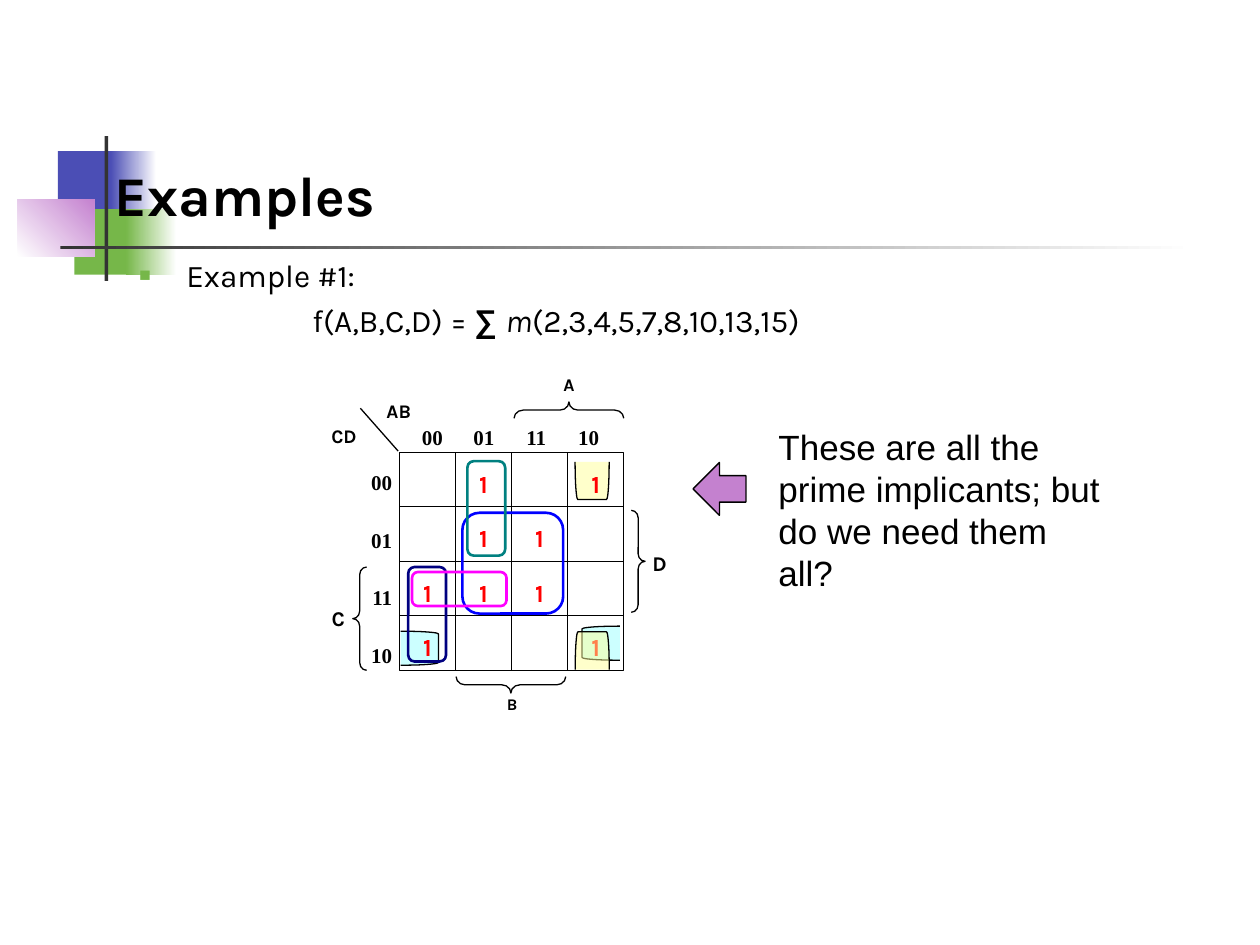
from lxml import etree
from pptx import Presentation
from pptx import util as u
from pptx.dml.color import RGBColor
from pptx.enum import shapes, text
from pptx.oxml.ns import qn

SHAPE = shapes.MSO_SHAPE
ALIGN = text.PP_ALIGN
BLACK, WHITE, DARK = "000000", "FFFFFF", "333333"
BLUE, GREEN, PURPLE = "4B4EB5", "76B749", "C481CF"
YELLOW, CYAN, RED = "FFFF99", "CCFFFF", "FF0000"


def color(hex_string):
    return RGBColor.from_string(hex_string)


def inches(values):
    return [u.Inches(value) for value in values]


def add_child(parent, tag, **attributes):
    child = etree.SubElement(parent, qn(tag))
    for name, value in attributes.items():
        child.set(name, str(value))
    return child


def add_run(paragraph, content, size=18, font="Karla", fill=BLACK, bold=False, italic=False):
    run = paragraph.add_run()
    run.text = content
    run.font.size, run.font.name = u.Pt(size), font
    run.font.bold, run.font.italic = bold, italic
    run.font.color.rgb = color(fill)


def add_frame(slide, box, anchor=text.MSO_ANCHOR.TOP, top_margin=0.05):
    frame = slide.shapes.add_textbox(*inches(box)).text_frame
    frame.word_wrap = True
    frame.vertical_anchor = anchor
    frame.margin_top = u.Inches(top_margin)
    return frame


def add_text(slide, box, content, align=ALIGN.LEFT, gap=0, tabs=(),
             anchor=text.MSO_ANCHOR.TOP, **font):
    """Each line of content is a paragraph; gap is the points between them."""
    frame = add_frame(slide, box, anchor)
    for index, line in enumerate(content.split("\n")):
        paragraph = frame.add_paragraph() if index else frame.paragraphs[0]
        if tabs:
            tab_list = add_child(paragraph._p.get_or_add_pPr(), "a:tabLst")
            for stop in tabs:
                add_child(tab_list, "a:tab", pos=u.Inches(stop), algn="l")
        paragraph.alignment = align
        if index and gap:
            paragraph.space_before = u.Pt(gap)
        add_run(paragraph, line, **font)


def add_shape(slide, kind, box, fill=None, line=None, width=0.75, adjust=None,
              rotation=0, opacity=None):
    shape = slide.shapes.add_shape(kind, *inches(box))
    shape.shadow.inherit = False
    shape.rotation = rotation
    if adjust is not None:
        shape.adjustments[0] = adjust
    if fill:
        shape.fill.solid()
        shape.fill.fore_color.rgb = color(fill)
        if opacity:
            solid = shape._element.spPr.find(qn("a:solidFill"))
            add_child(solid[0], "a:alpha", val=opacity * 1000)
    else:
        shape.fill.background()
    if line:
        shape.line.color.rgb = color(line)
        shape.line.width = u.Pt(width)
    else:
        shape.line.fill.background()
    return shape


def add_gradient(slide, box, start, end, angle=0):
    fill = add_shape(slide, SHAPE.RECTANGLE, box).fill
    fill.gradient()
    fill.gradient_angle = angle
    for stop, shade, position in zip(fill.gradient_stops, (start, end), (0, 1)):
        stop.color.rgb = color(shade)
        stop.position = position


def add_line(slide, x1, y1, x2, y2):
    line = slide.shapes.add_connector(shapes.MSO_CONNECTOR.STRAIGHT, *inches((x1, y1, x2, y2)))
    line.line.color.rgb = color(BLACK)
    line.line.width = u.Pt(0.75)
    add_child(line._element.spPr, "a:effectLst")
    return line


def draw_ornament(slide, left, top):
    def box(x, y, width, height):
        return left + x, top + y, width, height

    add_shape(slide, SHAPE.RECTANGLE, box(0.32, 0.12, 0.48, 0.52), BLUE)
    add_gradient(slide, box(0.74, 0.12, 0.36, 0.52), BLUE, WHITE)
    add_shape(slide, SHAPE.RECTANGLE, box(0.45, 0.58, 0.46, 0.52), GREEN)
    add_gradient(slide, box(0.86, 0.58, 0.4, 0.52), GREEN, WHITE)
    add_gradient(slide, box(0, 0.5, 0.61, 0.46), WHITE, PURPLE, angle=45)
    add_shape(slide, SHAPE.RECTANGLE, box(0.69, 0, 0.03, 1.15), DARK)
    add_gradient(slide, box(0.34, 0.87, 9, 0.03), DARK, WHITE)


def draw_body(slide, box):
    frame = add_frame(slide, box, top_margin=0.08)
    heading = frame.paragraphs[0]
    properties = heading._p.get_or_add_pPr()
    properties.set("marL", str(u.Inches(0.38)))
    properties.set("indent", str(u.Inches(-0.38)))
    add_child(add_child(properties, "a:buClr"), "a:srgbClr", val=GREEN)
    add_child(properties, "a:buSzPct", val=120000)
    add_child(properties, "a:buFont", typeface="Arial")
    add_child(properties, "a:buChar", char="▪")
    add_run(heading, "Example #1:")

    formula = frame.add_paragraph()
    formula._p.get_or_add_pPr().set("marL", str(u.Inches(1.38)))
    formula.space_before = u.Pt(4.5)
    add_run(formula, "f(A,B,C,D) = ")
    add_run(formula, "∑ ", font="Arial", bold=True)
    add_run(formula, "m", italic=True)
    add_run(formula, "(2,3,4,5,7,8,10,13,15)")


def draw_karnaugh_map(slide, left, top, width, height):
    """The box is the grid; labels and braces lie around it."""
    column, row = width / 4, height / 4

    def box(x, y, box_width, box_height):
        return left + x, top + y, box_width, box_height

    def draw_wrap(kind, x, y, fill, rotation=0, opacity=None):
        add_shape(slide, kind, box(x, y, 0.3, 0.27), fill, BLACK,
                  adjust=0.08, rotation=rotation, opacity=opacity)

    draw_wrap(SHAPE.LEFT_BRACKET, 1.38, 0.09, YELLOW, 270, 50)
    draw_wrap(SHAPE.LEFT_BRACKET, 1.45, 1.38, CYAN)
    draw_wrap(SHAPE.RIGHT_BRACKET, 0.01, 1.42, CYAN)

    grid = add_shape(slide, SHAPE.RECTANGLE, box(0, 0, width, height), line=BLACK)
    for index in (1, 2, 3):
        x, y = left + index * column, top + index * row
        vertical = add_line(slide, x, top, x, top + height)
        horizontal = add_line(slide, left, y, left + width, y)
        if index == 2:
            vertical.begin_connect(grid, 0)
            vertical.end_connect(grid, 2)
            horizontal.begin_connect(grid, 1)
            horizontal.end_connect(grid, 3)
    add_line(slide, left - 0.01, top - 0.01, left - 0.31, top - 0.35)

    label = {"font": "Times New Roman", "size": 12, "bold": True}
    add_text(slide, box(0.08, -0.27, 1.66, 0.35), "00\t01\t11\t10",
             tabs=(0.41, 0.83, 1.24), **label)
    add_text(slide, box(-0.35, 0.09, 0.39, 1.79), "00\n01\n11\n10",
             align=ALIGN.RIGHT, gap=18.4, **label)

    for name, size, place in (
        ("A", 10.2, (1.18, -0.67, 0.33, 0.27)),
        ("B", 9.3, (0.73, 1.87, 0.33, 0.26)),
        ("C", 12, (-0.65, 1.17, 0.33, 0.35)),
        ("D", 12, (1.9, 0.73, 0.33, 0.35)),
        ("AB", 11, (-0.26, -0.47, 0.51, 0.29)),
        ("CD", 11, (-0.75, -0.27, 0.62, 0.29)),
    ):
        add_text(slide, box(*place), name, align=ALIGN.CENTER, size=size, bold=True)

    for kind, place, rotation in (
        (SHAPE.LEFT_BRACE, (1.28, -0.77, 0.13, 0.87), 90),
        (SHAPE.LEFT_BRACE, (0.82, 1.41, 0.13, 0.87), 270),
        (SHAPE.LEFT_BRACE, (-0.37, 0.91, 0.11, 0.82), 0),
        (SHAPE.RIGHT_BRACE, (1.84, 0.46, 0.11, 0.81), 0),
    ):
        add_shape(slide, kind, box(*place), line=BLACK, adjust=0.55, rotation=rotation)

    for row_index, columns in enumerate(((1, 3), (1, 2), (0, 1, 2), (0, 3))):
        for column_index in columns:
            add_text(slide, box(column_index * column, row_index * row + 0.08, column, 0.35),
                     "1", align=ALIGN.CENTER, size=14, fill=RED, bold=True)

    for place, line in (
        ((0.5, 0.48, 0.8, 0.8), "0000FF"),
        ((0.07, 0.91, 0.3, 0.75), "000080"),
        ((0.54, 0.07, 0.3, 0.75), "008080"),
        ((0.1, 0.95, 0.75, 0.27), "FF00FF"),
    ):
        add_shape(slide, SHAPE.ROUNDED_RECTANGLE, box(*place), line=line, width=1.5, adjust=0.17)
    draw_wrap(SHAPE.LEFT_BRACKET, 1.38, 1.44, YELLOW, 90, 50)


def draw_remark(slide, left, top):
    add_shape(slide, SHAPE.LEFT_ARROW, (left, top + 0.34, 0.42, 0.42), PURPLE, BLACK)
    add_text(slide, (left + 0.58, top, 2.83, 1.44),
             "These are all the prime implicants; but do we need them all?",
             size=20, font="Arial")


def main():
    presentation = Presentation()
    presentation.slide_width, presentation.slide_height = u.Inches(10), u.Inches(7.5)
    slide = presentation.slides.add_slide(presentation.slide_layouts[6])
    draw_ornament(slide, 0.14, 1.08)
    add_text(slide, (0.81, 0.61, 8.52, 1.25), "Examples",
             anchor=text.MSO_ANCHOR.BOTTOM, size=32, bold=True)
    draw_body(slide, (1, 1.95, 8.75, 1.05))
    draw_remark(slide, 5.5, 3.33)
    draw_karnaugh_map(slide, 3.17, 3.59, 1.78, 1.73)
    presentation.save("out.pptx")


if __name__ == "__main__":
    main()
